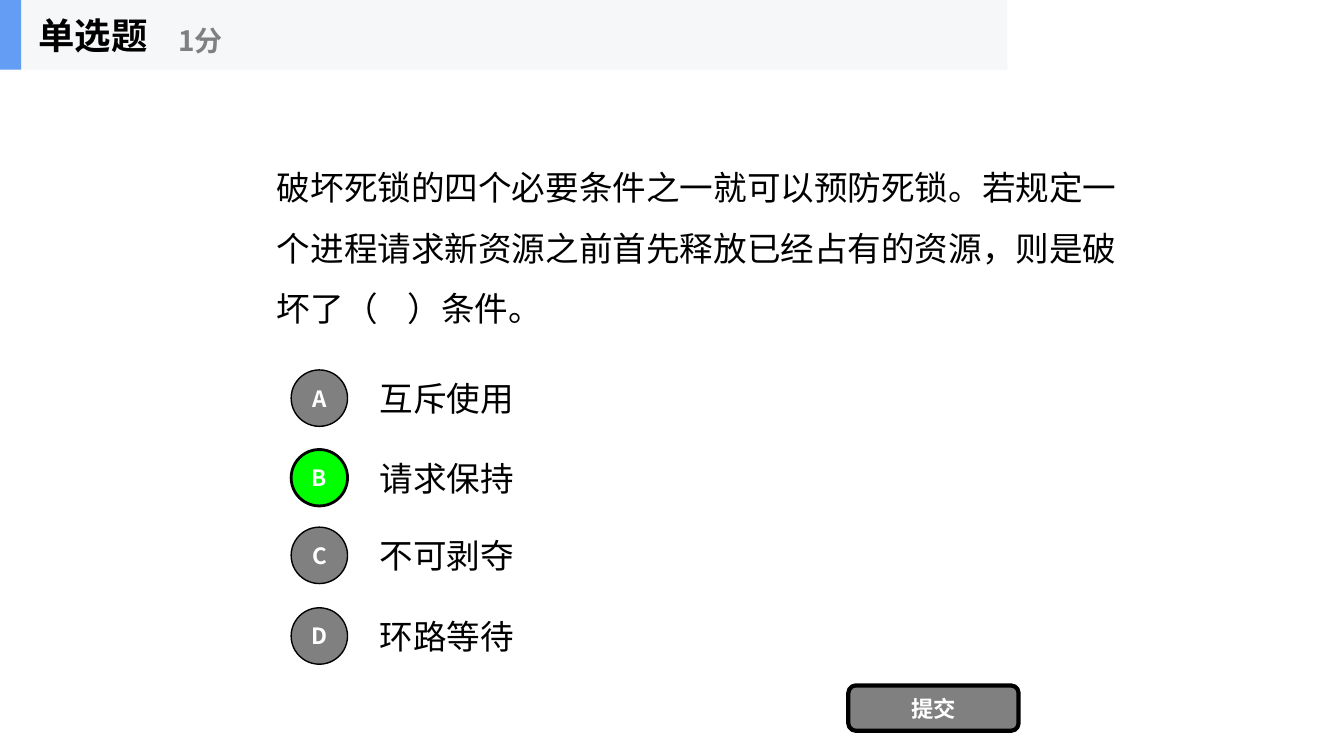
from lxml.etree import SubElement
from pptx import Presentation
from pptx.dml.color import RGBColor
from pptx.enum.shapes import MSO_SHAPE as SHAPE
from pptx.enum.text import MSO_ANCHOR as ANCHOR, MSO_AUTO_SIZE as AUTO_SIZE, PP_ALIGN as ALIGN
from pptx.oxml.ns import qn
from pptx.util import Inches, Pt

FONT = "Noto Sans CJK SC"
COLORS = {
    "text": "000000",
    "white": "FFFFFF",
    "gray": "808080",
    "correct": "00FF00",
    "band": "F6F7F8",
    "accent": "639EF4",
}
QUESTION = ("破坏死锁的四个必要条件之一就可以预防死锁。若规定一个进程请求新资源之前"
            "首先释放已经占有的资源，则是破坏了（    ）条件。")
OPTIONS = [("A", "互斥使用", 0), ("B", "请求保持", 0.79),
           ("C", "不可剥夺", 1.56), ("D", "环路等待", 2.36)]
CORRECT = "B"


def rgb(name):
    return RGBColor.from_string(COLORS[name])


def write(shape, text, size, color="text", bold=False, align=ALIGN.LEFT, spacing=1.0):
    frame = shape.text_frame
    frame.text = text
    frame.word_wrap = True
    frame.auto_size = AUTO_SIZE.NONE
    frame.vertical_anchor = ANCHOR.MIDDLE
    paragraph = frame.paragraphs[0]
    paragraph.alignment = align
    paragraph.line_spacing = spacing
    font = paragraph.font
    font.size, font.bold, font.name = Pt(size), bold, FONT
    font.color.rgb = rgb(color)
    # East Asian typeface for the Chinese characters
    defaults = paragraph._p.pPr.find(qn("a:defRPr"))
    SubElement(defaults, qn("a:ea")).set("typeface", FONT)


def add_text(slide, box, text, size, **style):
    label = slide.shapes.add_textbox(*map(Inches, box))
    write(label, text, size, **style)


def add_block(slide, kind, box, fill, line_width=0):
    block = slide.shapes.add_shape(kind, *map(Inches, box))
    block.shadow.inherit = False
    block.fill.solid()
    block.fill.fore_color.rgb = rgb(fill)
    if line_width:
        block.line.color.rgb = rgb("text")
        block.line.width = Pt(line_width)
    else:
        block.line.fill.background()
    return block


def add_header(slide, left, top, width, height):
    add_block(slide, SHAPE.RECTANGLE, (left, top, width, height), "band")
    add_block(slide, SHAPE.RECTANGLE, (left, top, 0.21, height), "accent")
    # Title goes in front of the band
    title = slide.shapes.title
    title.element.getparent().append(title.element)
    title.left, title.top = Inches(left + 0.28), Inches(top)
    title.width, title.height = Inches(2.08), Inches(height)
    write(title, "单选题", 26, bold=True)
    add_text(slide, (left + 1.67, top + 0.12, 2.5, 0.56), "1分", 20,
             color="gray", bold=True)


def add_options(slide, left, top, width, row_height):
    badge_size = 0.56
    for letter, answer, offset in OPTIONS:
        row_top = top + offset
        is_correct = letter == CORRECT
        badge_top = row_top + (row_height - badge_size) / 2
        badge = add_block(slide, SHAPE.OVAL, (left, badge_top, badge_size, badge_size),
                          "correct" if is_correct else "gray", 2 if is_correct else 1)
        write(badge, letter, 16, color="white", bold=True, align=ALIGN.CENTER)
        add_text(slide, (left + 0.78, row_top, width - 0.78, row_height), answer, 24)


def add_submit(slide, *box):
    button = add_block(slide, SHAPE.ROUNDED_RECTANGLE, box, "gray", 3)
    write(button, "提交", 16, color="white", bold=True, align=ALIGN.CENTER)


def main():
    deck = Presentation()
    deck.slide_width, deck.slide_height = Inches(13.34), Inches(7.5)
    slide = deck.slides.add_slide(deck.slide_layouts[5])
    add_header(slide, 0, 0, 10, 0.69)
    add_text(slide, (2.65, 1.19, 8.66, 2.34), QUESTION, 24, spacing=1.5)
    add_options(slide, 2.89, 3.6, 7.78, 0.7)
    add_submit(slide, 8.42, 6.8, 1.69, 0.45)
    deck.save("out.pptx")


if __name__ == "__main__":
    main()
